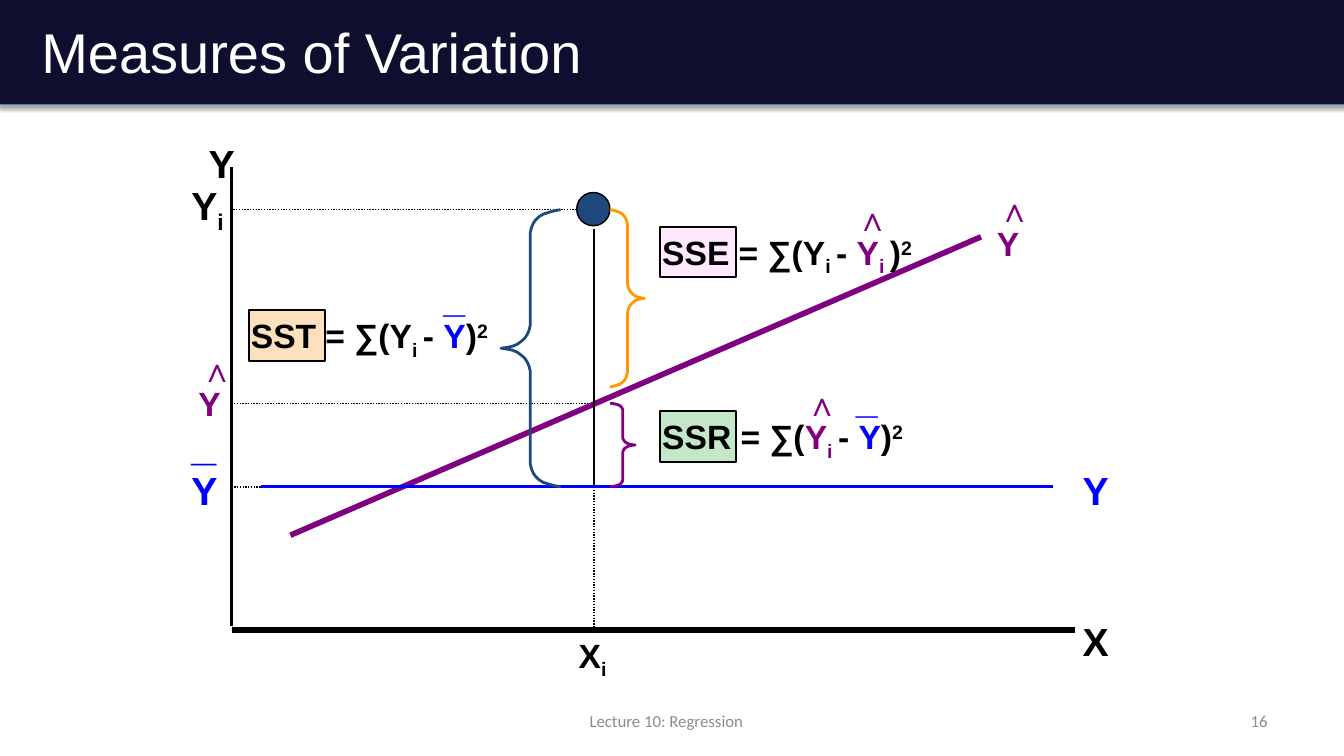
"""Build the Measures of Variation slide on sums of squares in regression."""
from lxml import etree
from pptx import Presentation
from pptx.dml.color import RGBColor
from pptx.enum import dml, shapes, text
from pptx.oxml import parse_xml
from pptx.oxml.ns import nsdecls, qn
from pptx.util import Inches, Pt

BLACK = RGBColor(0x00, 0x00, 0x00)
WHITE = RGBColor(0xFF, 0xFF, 0xFF)
GREY = RGBColor(0x8C, 0x8C, 0x8C)
MIDNIGHT = RGBColor(0x10, 0x0E, 0x2F)
BAND_EDGE = RGBColor(0x4B, 0x7E, 0xBC)
NAVY = RGBColor(0x1F, 0x49, 0x7D)
BLUE = RGBColor(0x00, 0x00, 0xFF)
PURPLE = RGBColor(0x80, 0x00, 0x80)
ORANGE = RGBColor(0xFF, 0x99, 0x00)
MINT = RGBColor(0xC4, 0xE6, 0xC9)
PINK = RGBColor(0xFF, 0xE9, 0xFF)
PEACH = RGBColor(0xFD, 0xE0, 0xBD)

AXIS_X, AXIS_Y, POINT_X = 2.3, 6.25, 5.89
OBSERVED_Y, FITTED_Y, MEAN_Y = 2.08, 4, 4.83
SUB, SUP = -25000, 30000

prs = Presentation()
prs.slide_width, prs.slide_height = Inches(13.33), Inches(7.5)
slide = prs.slides.add_slide(prs.slide_layouts[5])


def add_filled(kind, box, fill, edge, weight):
    shape = slide.shapes.add_shape(kind, *map(Inches, box))
    shape.shadow.inherit = False
    shape.fill.solid()
    shape.fill.fore_color.rgb = fill
    shape.line.color.rgb = edge
    shape.line.width = Pt(weight)
    return shape


def add_label(box, runs, size, font="Arial", bold=True, align=text.PP_ALIGN.LEFT):
    frame = slide.shapes.add_textbox(*map(Inches, box)).text_frame
    frame.word_wrap = True
    paragraph = frame.paragraphs[0]
    paragraph.alignment = align
    paragraph.font.name, paragraph.font.size, paragraph.font.bold = font, Pt(size), bold
    for words, color, baseline in runs:
        run = paragraph.add_run()
        run.text = words
        run.font.name, run.font.size, run.font.bold = font, Pt(size), bold
        run.font.color.rgb = color
        if baseline:
            run.font._element.set("baseline", str(baseline))
    return frame


band = add_filled(shapes.MSO_SHAPE.RECTANGLE, (-0.01, -0.02, 13.35, 1.06), MIDNIGHT, BAND_EDGE, 0.75)
band_effects = band._element.spPr.find(qn("a:effectLst"))
band_effects.append(parse_xml(
    f'<a:outerShdw {nsdecls("a")} blurRad="39370" dist="22860" dir="5400000" rotWithShape="0">'
    '<a:srgbClr val="000000"><a:alpha val="35000"/></a:srgbClr></a:outerShdw>'))
slide.shapes._spTree.insert(2, band._element)

title = slide.shapes.title
title.left, title.top, title.width, title.height = map(Inches, (0.31, -0.12, 12, 1.25))
title.text_frame.text = "Measures of Variation"
title.text_frame.vertical_anchor = text.MSO_ANCHOR.MIDDLE
heading = title.text_frame.paragraphs[0]
heading.alignment = text.PP_ALIGN.LEFT
heading.font.name, heading.font.size = "Arial", Pt(40)
heading.font.color.rgb = WHITE

for box, words, align in (
    ((2.92, 6.95, 7.38, 0.4), "Lecture 10: Regression", text.PP_ALIGN.CENTER),
    ((10.3, 6.95, 2.37, 0.4), "16", text.PP_ALIGN.RIGHT),
):
    footer = add_label(box, [(words, GREY, 0)], 12, "Calibri", False, align)
    footer.vertical_anchor = text.MSO_ANCHOR.MIDDLE

for left, top, fill in ((6.55, 4.08, MINT), (6.55, 2.25, PINK), (2.47, 3.08, PEACH)):
    add_filled(shapes.MSO_SHAPE.RECTANGLE, (left, top, 0.75, 0.5), fill, BLACK, 1.5)

for start, end, color, weight, dotted in (
    ((2.64, MEAN_Y), (AXIS_X, MEAN_Y), BLACK, 1, True),
    ((5.8, OBSERVED_Y), (AXIS_X, OBSERVED_Y), BLACK, 1, True),
    ((POINT_X, FITTED_Y), (AXIS_X, FITTED_Y), BLACK, 1, True),
    ((POINT_X, 4.86), (POINT_X, 6.23), BLACK, 1, True),
    ((AXIS_X, 1.66), (AXIS_X, 6.21), BLACK, 2, False),
    ((AXIS_X, AXIS_Y), (10.66, AXIS_Y), BLACK, 4, False),
    ((2.88, 5.31), (9.73, 2.35), PURPLE, 4, False),
    ((POINT_X, 2.27), (POINT_X, 4.81), BLACK, 1, False),
    ((2.59, MEAN_Y), (10.44, MEAN_Y), BLUE, 2, False),
):
    line = slide.shapes.add_connector(
        shapes.MSO_CONNECTOR.STRAIGHT, *map(Inches, start + end))
    line.line.color.rgb = color
    line.line.width = Pt(weight)
    if dotted:
        line.line.dash_style = dml.MSO_LINE.ROUND_DOT
    etree.SubElement(line._element.spPr, qn("a:effectLst"))

add_filled(shapes.MSO_SHAPE.OVAL, (5.72, 1.91, 0.33, 0.33), NAVY, BLACK, 1)

half_brace = [
    (0, 0), (0.1, 0.004), (0.2, 0.01), (0.29, 0.016), (0.36, 0.025), (0.42, 0.037),
    (0.46, 0.05), (0.49, 0.065), (0.51, 0.083), (0.51, 0.417), (0.53, 0.435),
    (0.56, 0.45), (0.6, 0.463), (0.66, 0.475), (0.73, 0.486), (0.81, 0.493),
    (0.9, 0.497), (1, 0.5),
]
full_brace = half_brace + [(across, 1 - down) for across, down in half_brace[-2::-1]]
for left, top, reach, height, color in (
    (5.56, OBSERVED_Y, -0.59, 2.75, NAVY),
    (6.05, OBSERVED_Y, 0.34, 1.76, ORANGE),
    (6.05, FITTED_Y, 0.25, 0.83, PURPLE),
):
    points = [(Inches(left + reach * across), Inches(top + height * down))
              for across, down in full_brace]
    outline = slide.shapes.build_freeform(*points[0])
    outline.add_line_segments(points[1:], close=False)
    brace = outline.convert_to_shape()
    brace.shadow.inherit = False
    brace.fill.background()
    brace.line.color.rgb = color
    brace.line.width = Pt(2)

observed = [("Y", BLACK, 0), ("i ", BLACK, SUB)]
fitted = [("Y", PURPLE, 0), ("i ", PURPLE, SUB)]
minus, mean = ("- ", BLACK, 0), ("Y", BLUE, 0)
squared = [(")", BLACK, 0), ("2", BLACK, SUP)]
for left, top, name, terms in (
    (2.39, 3.08, "SST", [*observed, minus, mean]),
    (6.47, 2.25, "SSE", [*observed, minus, *fitted]),
    (6.47, 4.08, "SSR", [*fitted, minus, mean]),
):
    add_label((left, top, 2.83, 0.5), [(f"{name} = ∑(", BLACK, 0), *terms, *squared], 24)

for left, top, words, color, size in (
    (1.97, 1.33, "Y", BLACK, 28),
    (10.64, 6.08, "X", BLACK, 28),
    (10.64, 4.58, "Y", BLUE, 28),
    (1.8, 4.58, "Y", BLUE, 28),
    (1.8, 4.08, "_", BLUE, 32),
    (8.39, 3.66, "_", BLUE, 28),
    (4.3, 2.66, "_", BLUE, 28),
    (9.79, 2.16, "Y", PURPLE, 24),
    (1.87, 3.75, "Y", PURPLE, 24),
    (9.8, 1.83, "∧", PURPLE, 24),
    (8.39, 1.91, "∧", PURPLE, 24),
    (7.89, 3.75, "∧", PURPLE, 24),
    (1.89, 3.41, "∧", PURPLE, 24),
):
    add_label((left, top, 0.6, 0.56), [(words, color, 0)], size)

for box, letter, size in (((5.64, 6.25, 0.91, 0.5), "X", 24), ((1.8, 1.75, 0.84, 0.56), "Y", 28)):
    add_label(box, [(letter, BLACK, 0), ("i", BLACK, SUB)], size)

prs.save("out.pptx")
